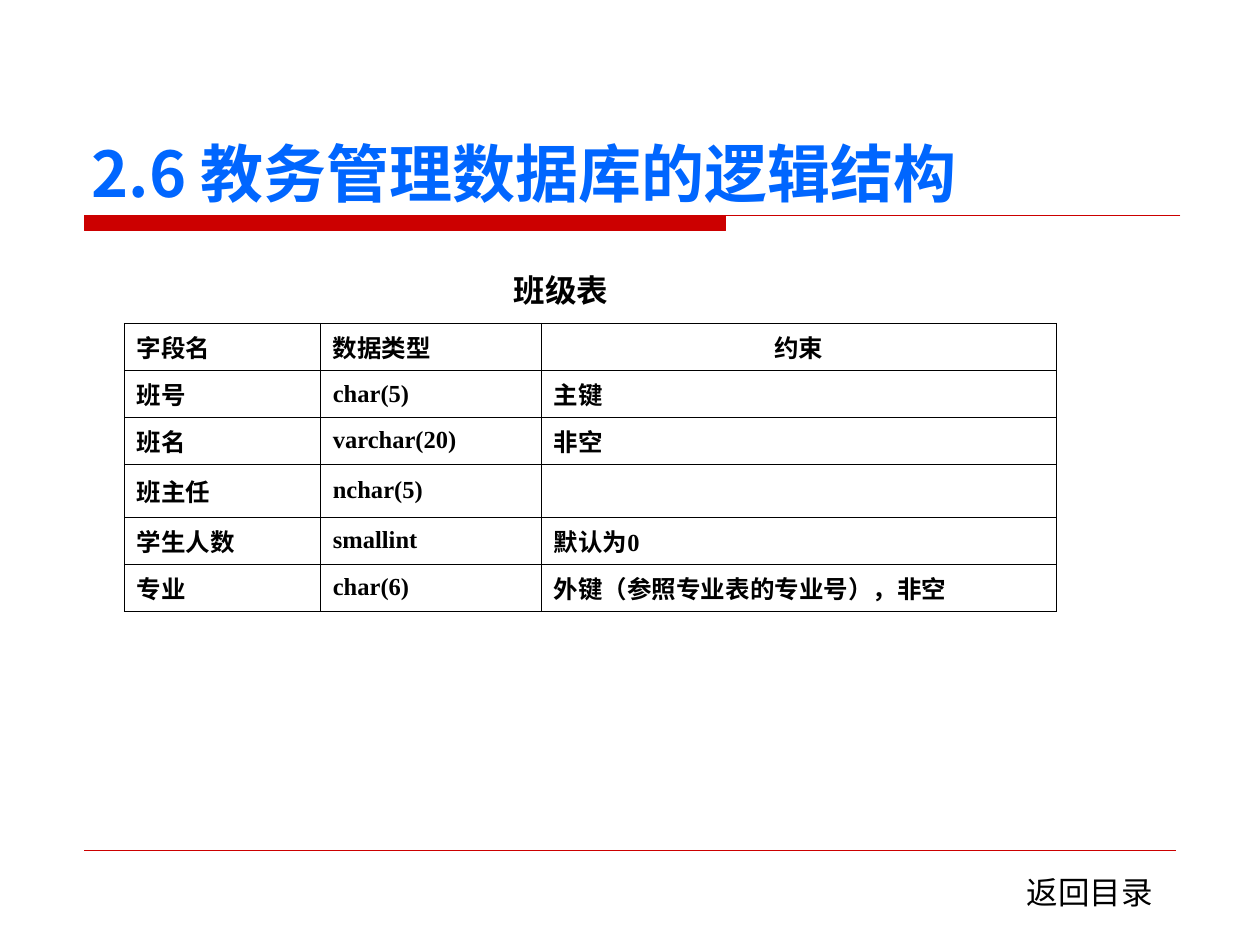
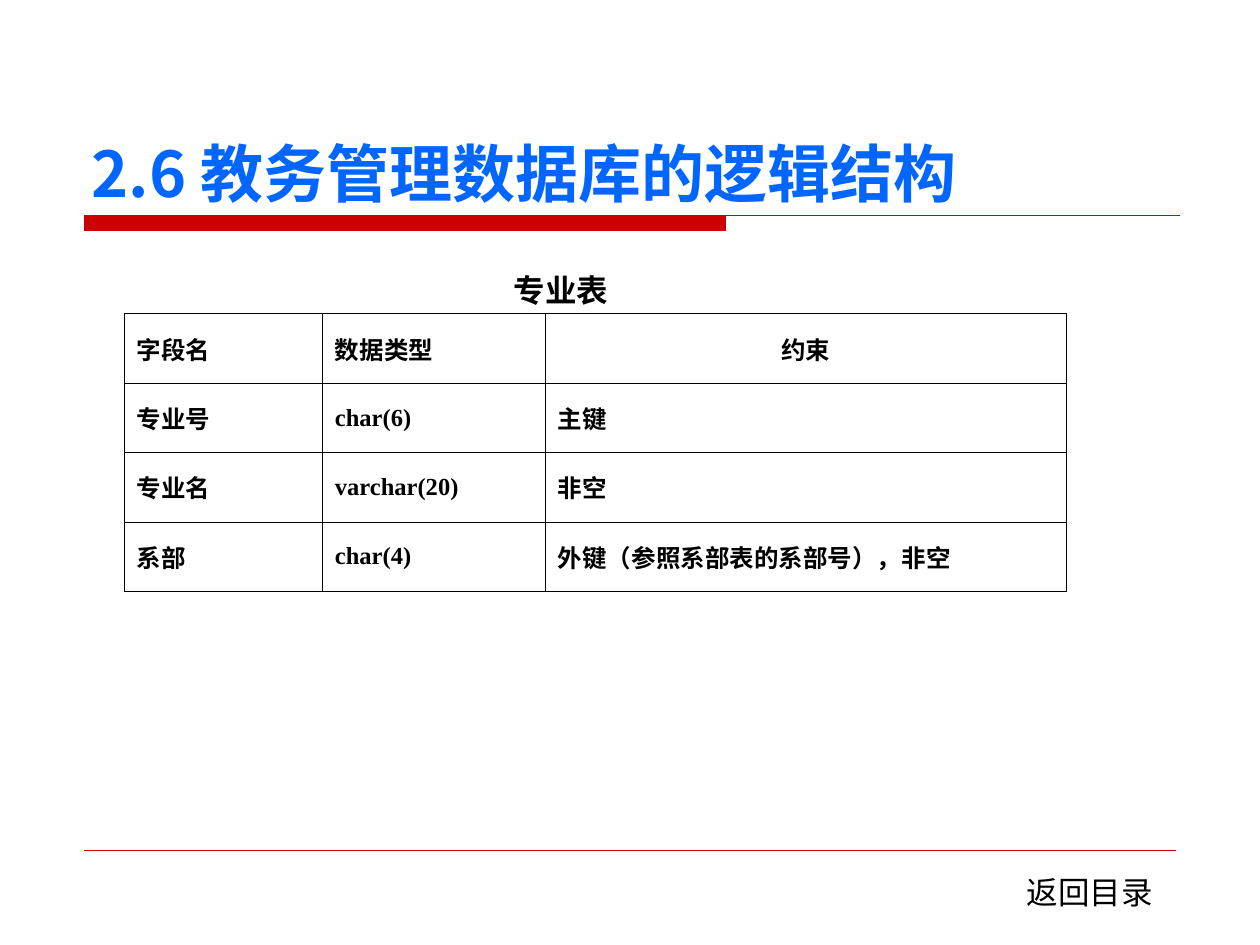
from dataclasses import dataclass

from lxml import etree
from pptx import Presentation
from pptx.dml.color import RGBColor
from pptx.enum import shapes, text
from pptx.oxml import ns
from pptx.util import Pt


@dataclass(frozen=True)
class Theme:
    red: str = "CC0000"
    blue: str = "0066FF"
    black: str = "000000"
    cjk: str = "Noto Sans CJK SC"
    sans: str = "DejaVu Sans"
    serif: str = "Times New Roman"
    title_size: float = 36
    label_size: float = 18
    cell_size: float = 14
    rule_width: float = 0.75
    footer_width: float = 0.25
    border_width: float = 0.45


@dataclass(frozen=True)
class Box:
    left: float
    top: float
    width: float
    height: float = 0


THEME = Theme()
TITLE = "2.6 教务管理数据库的逻辑结构"
BACK_LABEL = "返回目录"
HEADINGS = ("字段名", "数据类型", "约束")
BAR_WIDTH = 366.5

TITLE_BOX = Box(45.3, 23.8, 630, 96)
BAND_BOX = Box(48.2, 123.1, 626.4, 8.7)
FOOTER_BOX = Box(48.2, 486, 623.6)
BACK_BOX = Box(579.6, 495.4, 90, 28.8)
CAPTION_BOX = Box(286.6, 151.2, 73.4, 28.8)

# Caption, table position, column widths, row heights, fields
TABLES = (
    ("班级表", (71, 184.7), (112, 126.2, 294.4),
     (26.85, 26.85, 26.85, 30.2, 26.85, 26.85),
     (("班号", "char(5)", "主键"),
      ("班名", "varchar(20)", "非空"),
      ("班主任", "nchar(5)", ""),
      ("学生人数", "smallint", "默认为0"),
      ("专业", "char(6)", "外键（参照专业表的专业号），非空"))),
    ("专业表", (71, 179.2), (113.2, 127.4, 297.8), (39.7,) * 4,
     (("专业号", "char(6)", "主键"),
      ("专业名", "varchar(20)", "非空"),
      ("系部", "char(4)", "外键（参照系部表的系部号），非空"))),
)


def style_runs(para, font, size, color, bold=False, asian=None):
    for span in para.runs:
        span.font.name = font
        span.font.size = Pt(size)
        span.font.bold = bold
        span.font.color.rgb = RGBColor.from_string(color)
        east_asian = etree.SubElement(span.font._element, ns.qn("a:ea"))
        east_asian.set("typeface", asian or font)


def add_label(page, box, words, font, size, color, bold=False):
    label = page.shapes.add_textbox(
        Pt(box.left), Pt(box.top), Pt(box.width), Pt(box.height))
    frame = label.text_frame
    frame.word_wrap = True
    frame.text = words
    style_runs(frame.paragraphs[0], font, size, color, bold)
    return frame


def add_title(page, box):
    frame = add_label(page, box, TITLE, THEME.cjk, THEME.title_size,
                      THEME.blue, bold=True)
    frame.vertical_anchor = text.MSO_ANCHOR.BOTTOM
    frame.margin_bottom = Pt(0)


def add_band(page, box):
    """Thick bar under the title, continued by a thin rule."""
    right, bottom = box.left + box.width, box.top + box.height
    bar_right = box.left + BAR_WIDTH
    outline = page.shapes.build_freeform(Pt(box.left), Pt(box.top))
    corners = ((bar_right, box.top), (bar_right, bottom), (box.left, bottom))
    outline.add_line_segments([(Pt(x), Pt(y)) for x, y in corners])
    outline.move_to(Pt(box.left), Pt(box.top))
    outline.add_line_segments([(Pt(right), Pt(box.top))], close=False)
    band = outline.convert_to_shape()
    band.shadow.inherit = False
    band.fill.solid()
    band.fill.fore_color.rgb = RGBColor.from_string(THEME.red)
    band.line.color.rgb = RGBColor.from_string(THEME.red)
    band.line.width = Pt(THEME.rule_width)


def add_footer_rule(page, box):
    rule = page.shapes.add_connector(
        shapes.MSO_CONNECTOR.STRAIGHT, Pt(box.left), Pt(box.top),
        Pt(box.left + box.width), Pt(box.top))
    rule.line.color.rgb = RGBColor.from_string(THEME.red)
    rule.line.width = Pt(THEME.footer_width)
    etree.SubElement(rule._element.spPr, ns.qn("a:effectLst"))


def add_borders(cell):
    properties = cell._tc.get_or_add_tcPr()
    for side in ("lnL", "lnR", "lnT", "lnB"):
        border = etree.SubElement(properties, ns.qn(f"a:{side}"),
                                  w=str(Pt(THEME.border_width)))
        fill = etree.SubElement(border, ns.qn("a:solidFill"))
        etree.SubElement(fill, ns.qn("a:srgbClr"), val=THEME.black)


def fill_cell(cell, words, centred):
    cell.vertical_anchor = text.MSO_ANCHOR.MIDDLE
    cell.margin_top = cell.margin_bottom = Pt(3.2)
    cell.text = words
    para = cell.text_frame.paragraphs[0]
    if centred:
        para.alignment = text.PP_ALIGN.CENTER
    style_runs(para, THEME.serif, THEME.cell_size, THEME.black,
               bold=True, asian=THEME.cjk)
    add_borders(cell)
    cell.fill.background()


def add_field_table(page, box, widths, heights, fields):
    rows = (HEADINGS,) + fields
    table = page.shapes.add_table(
        len(rows), len(HEADINGS), Pt(box.left), Pt(box.top),
        Pt(box.width), Pt(box.height)).table
    table.first_row = table.horz_banding = False
    for column, width in zip(table.columns, widths):
        column.width = Pt(width)
    for row, height in zip(table.rows, heights):
        row.height = Pt(height)
    for row_index, row in enumerate(rows):
        for column_index, words in enumerate(row):
            # Only the constraint heading is centred
            centred = row_index == 0 and column_index == len(HEADINGS) - 1
            fill_cell(table.cell(row_index, column_index), words, centred)


def add_table_page(deck, caption, position, widths, heights, fields):
    page = deck.slides.add_slide(deck.slide_layouts[6])
    # Shared frame
    add_band(page, BAND_BOX)
    add_footer_rule(page, FOOTER_BOX)
    add_title(page, TITLE_BOX)
    add_label(page, BACK_BOX, BACK_LABEL, THEME.sans, THEME.label_size,
              THEME.black)
    # Caption and table
    add_label(page, CAPTION_BOX, caption, THEME.sans, THEME.label_size,
              THEME.black, bold=True)
    box = Box(*position, sum(widths), sum(heights))
    add_field_table(page, box, widths, heights, fields)


def main():
    deck = Presentation()
    deck.slide_width, deck.slide_height = Pt(720), Pt(540)
    for table in TABLES:
        add_table_page(deck, *table)
    deck.save("out.pptx")


if __name__ == "__main__":
    main()
